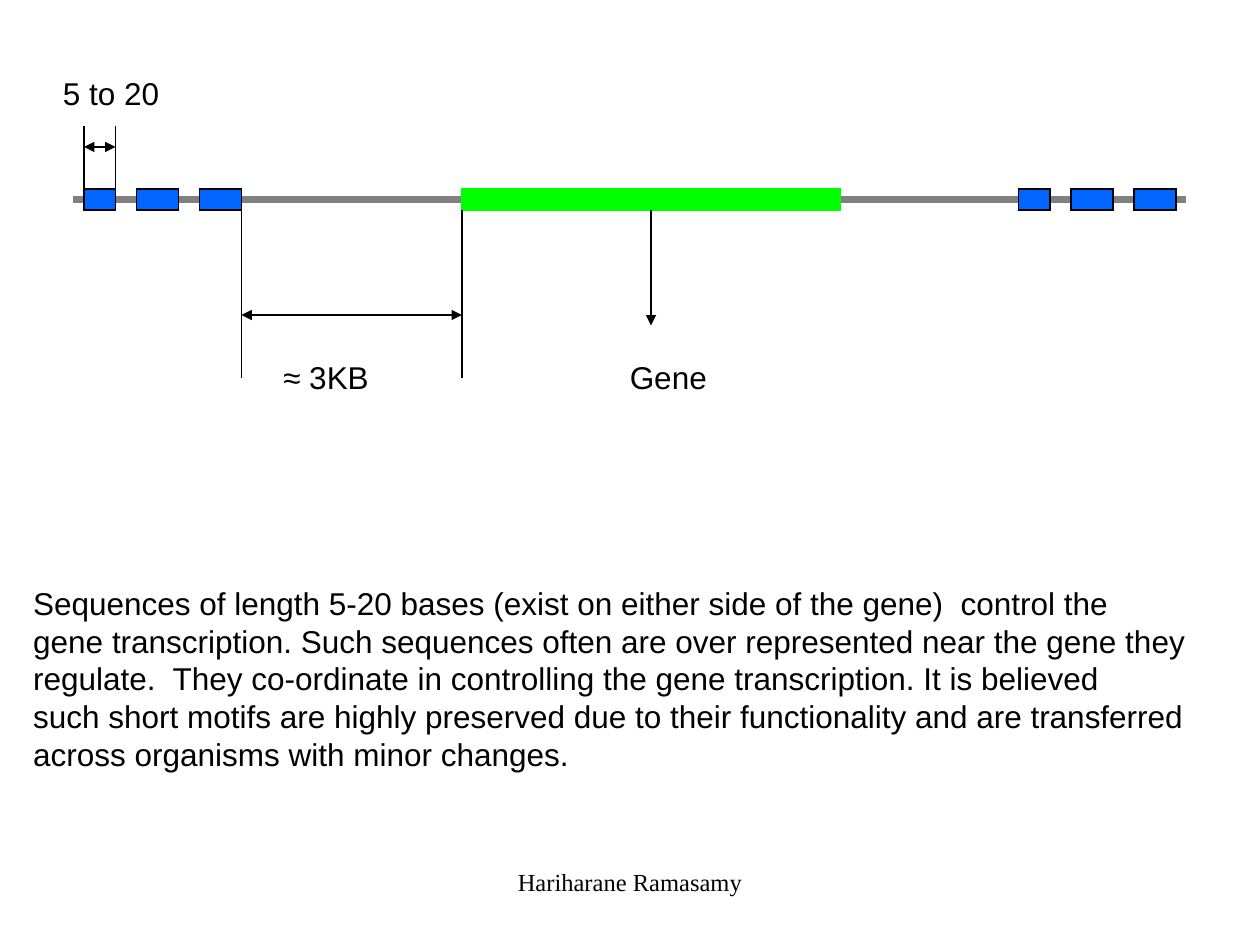
from dataclasses import dataclass

import pptx
import pptx.dml.color
import pptx.enum.shapes
import pptx.enum.text
import pptx.oxml.ns
import pptx.util
from lxml import etree

Pt = pptx.util.Pt
RGBColor = pptx.dml.color.RGBColor
ALIGN = pptx.enum.text.PP_ALIGN

BLACK = RGBColor(0x00, 0x00, 0x00)
GREY = RGBColor(0x80, 0x80, 0x80)
GREEN = RGBColor(0x00, 0xFF, 0x00)
BLUE = RGBColor(0x00, 0x66, 0xFF)

STRAND_Y = 114
BAR_TOP, BAR_HEIGHT = 108, 12
BAR_BOTTOM = BAR_TOP + BAR_HEIGHT
GENE_LEFT, GENE_WIDTH = 264, 216
GENE_MIDDLE = GENE_LEFT + GENE_WIDTH / 2
RIGHT_SIDE_SHIFT = 534
BOTTOM_SITE, RIGHT_SITE = 2, 3


@dataclass(frozen=True)
class Bar:
    left: float
    width: float
    fill: RGBColor
    outline: RGBColor

    @property
    def right(self) -> float:
        return self.left + self.width


@dataclass(frozen=True)
class Line:
    x1: float
    y1: float
    x2: float
    y2: float
    color: RGBColor = BLACK
    weight: float = 0.75
    ends: tuple = ()


def style_outline(shape, color: RGBColor, weight: float):
    """Set colour, width and sharp corners; return the outline element."""
    shape.line.color.rgb = color
    shape.line.width = Pt(weight)
    outline = shape.line._get_or_add_ln()
    etree.SubElement(outline, pptx.oxml.ns.qn("a:miter"), lim="800000")
    return outline


def draw_bar(page, bar: Bar):
    shape = page.shapes.add_shape(
        pptx.enum.shapes.MSO_SHAPE.RECTANGLE,
        Pt(bar.left), Pt(BAR_TOP), Pt(bar.width), Pt(BAR_HEIGHT))
    shape.shadow.inherit = False
    shape.fill.solid()
    shape.fill.fore_color.rgb = bar.fill
    style_outline(shape, bar.outline, 0.75)
    return shape


def draw_line(page, line: Line):
    connector = page.shapes.add_connector(
        pptx.enum.shapes.MSO_CONNECTOR.STRAIGHT,
        Pt(line.x1), Pt(line.y1), Pt(line.x2), Pt(line.y2))
    outline = style_outline(connector, line.color, line.weight)
    for end in line.ends:
        etree.SubElement(outline, pptx.oxml.ns.qn(f"a:{end}"), type="triangle")
    etree.SubElement(connector._element.spPr, pptx.oxml.ns.qn("a:effectLst"))
    return connector


def add_text(page, text: str, *, left: float, top: float, width: float,
             height: float, font: str = "Arial", size: float = 18,
             align=ALIGN.LEFT, wrap: bool = False):
    box = page.shapes.add_textbox(Pt(left), Pt(top), Pt(width), Pt(height))
    frame = box.text_frame
    frame.word_wrap = wrap
    if not wrap:
        frame.auto_size = pptx.enum.text.MSO_AUTO_SIZE.SHAPE_TO_FIT_TEXT
    frame.text = text
    for para in frame.paragraphs:
        para.alignment = align
        para.font.name = font
        para.font.size = Pt(size)
        para.font.color.rgb = BLACK
    return box


LEFT_SITES = [Bar(left, width, BLUE, BLACK)
              for left, width in ((48, 18), (78, 24), (114, 24))]
RIGHT_SITES = [Bar(site.left + RIGHT_SIDE_SHIFT, site.width, BLUE, BLACK)
               for site in LEFT_SITES]
BOTH_ENDS = ("headEnd", "tailEnd")

EXPLANATION = "\n".join((
    "Sequences of length 5-20 bases (exist on either side of the gene)  control the",
    "gene transcription. Such sequences often are over represented near the gene they",
    "regulate.  They co-ordinate in controlling the gene transcription. It is believed",
    "such short motifs are highly preserved due to their functionality and are transferred",
    "across organisms with minor changes.",
))


def main():
    deck = pptx.Presentation()
    deck.slide_width, deck.slide_height = Pt(720), Pt(540)
    page = deck.slides.add_slide(deck.slide_layouts[6])

    # DNA strand with the gene and its binding sites
    draw_line(page, Line(42, STRAND_Y, 678, STRAND_Y, GREY, 4.5))
    gene = draw_bar(page, Bar(GENE_LEFT, GENE_WIDTH, GREEN, GREEN))
    sites = [draw_bar(page, site) for site in LEFT_SITES + RIGHT_SITES]

    # Distance from the last left site to the gene
    first, last = LEFT_SITES[0], LEFT_SITES[-1]
    draw_line(page, Line(GENE_LEFT, BAR_BOTTOM, GENE_LEFT, 216))
    site_edge = draw_line(page, Line(last.right, STRAND_Y, last.right, 216))
    site_edge.begin_connect(sites[len(LEFT_SITES) - 1], RIGHT_SITE)
    draw_line(page, Line(last.right, 180, GENE_LEFT, 180, ends=BOTH_ENDS))

    # Length of one site
    for x in (first.left, first.right):
        draw_line(page, Line(x, BAR_TOP, x, 72))
    draw_line(page, Line(first.left, 84, first.right, 84, ends=BOTH_ENDS))

    # Pointer from the gene to its label
    pointer = draw_line(page, Line(GENE_MIDDLE, BAR_BOTTOM, GENE_MIDDLE, 186,
                                   ends=("tailEnd",)))
    pointer.begin_connect(gene, BOTTOM_SITE)

    # Labels, explanation and footer
    add_text(page, "5 to 20", left=28.8, top=39, width=71, height=29)
    add_text(page, "≈ 3KB", left=154.8, top=201, width=64, height=29)
    add_text(page, "Gene", left=352.8, top=201, width=59, height=29)
    add_text(page, EXPLANATION, left=11.9, top=330, width=676, height=115)
    add_text(page, "Hariharane Ramasamy", left=246, top=492, width=228, height=36,
             font="Times New Roman", size=14, align=ALIGN.CENTER, wrap=True)

    deck.save("out.pptx")


if __name__ == "__main__":
    main()
